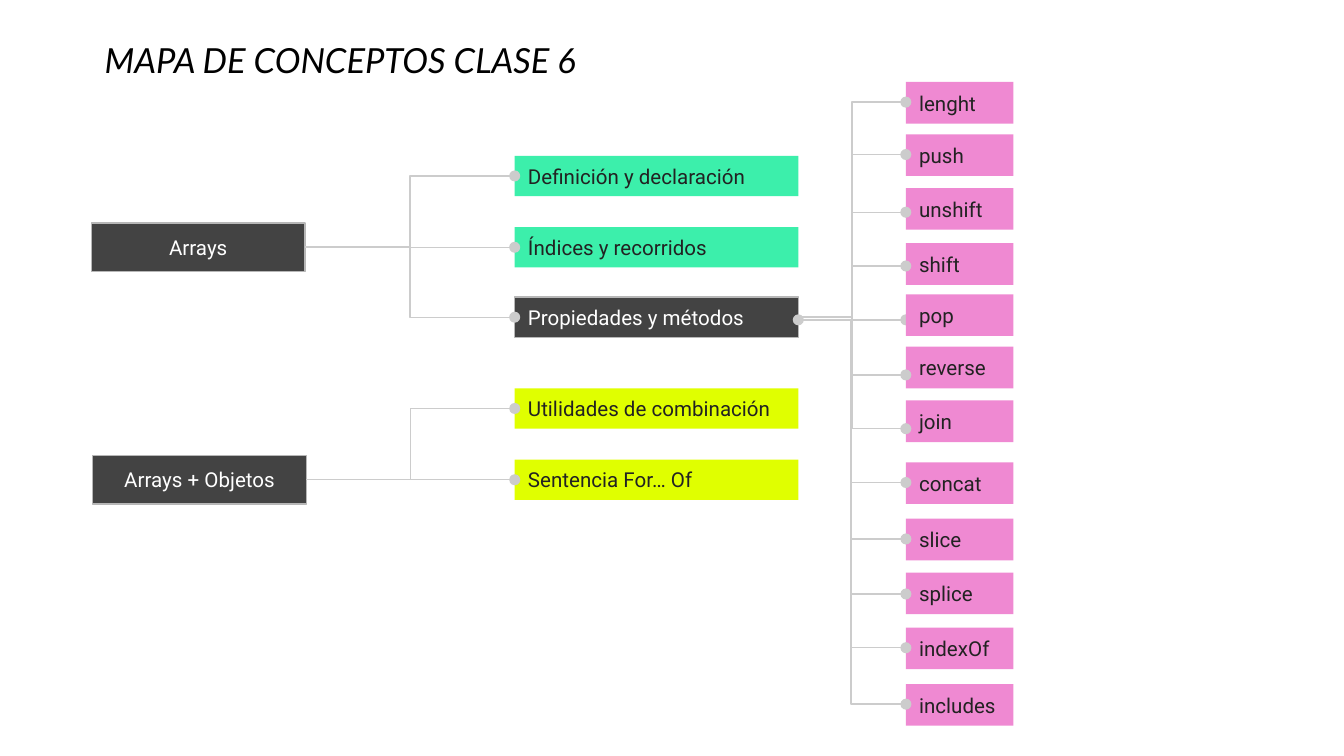
from lxml.etree import SubElement
from pptx import Presentation
from pptx.dml.color import RGBColor
from pptx.enum.shapes import MSO_CONNECTOR as CONNECTOR, MSO_SHAPE as SHAPE
from pptx.enum.text import MSO_ANCHOR as ANCHOR, PP_ALIGN as ALIGN
from pptx.oxml.ns import qn
from pptx.util import Inches, Pt

BLACK = RGBColor(0x00, 0x00, 0x00)
WHITE = RGBColor(0xFF, 0xFF, 0xFF)
INK = RGBColor(0x22, 0x22, 0x22)
DARK = RGBColor(0x43, 0x43, 0x43)
BORDER = RGBColor(0xB7, 0xB7, 0xB7)
LINK = RGBColor(0xCC, 0xCC, 0xCC)
GREEN = RGBColor(0x3C, 0xEF, 0xAB)
YELLOW = RGBColor(0xE0, 0xFF, 0x00)
PINK = RGBColor(0xEF, 0x89, 0xD2)

TITLE = "MAPA DE CONCEPTOS CLASE 6"
# Root: text, left, top, then its topics: text, top, fill
ROOTS = [
    ("Arrays", 0.68, 1.66, [
        ("Definición y declaración", 1.16, GREEN),
        ("Índices y recorridos", 1.69, GREEN),
        ("Propiedades y métodos", 2.21, DARK),
    ]),
    ("Arrays + Objetos", 0.69, 3.39, [
        ("Utilidades de combinación", 2.89, YELLOW),
        ("Sentencia For… Of", 3.42, YELLOW),
    ]),
]
# Method: text, top of its box
METHODS = [
    ("lenght", 0.61), ("push", 1.0), ("unshift", 1.4), ("shift", 1.81),
    ("pop", 2.19), ("reverse", 2.58), ("join", 2.98), ("concat", 3.44),
    ("slice", 3.86), ("splice", 4.26), ("indexOf", 4.67), ("includes", 5.09),
]
# Links leaving the methods topic: start y, end y
ELBOWS = [(2.38, 2.79), (2.38, 3.19), (2.38, 1.98), (2.38, 1.58), (2.36, 1.15)]
# Links leaving the shared trunk: trunk x, start y, end y
BRANCHES = [(6.34, 2.3, 0.76), (6.33, 2.37, 3.59), (6.33, 2.79, 4.01),
            (6.33, 3.19, 4.42), (6.33, 3.59, 4.82), (6.33, 4.01, 5.24)]

ROOT_SIZE = (1.59, 0.36)
TOPIC_LEFT, TOPIC_SIZE = 3.83, (2.11, 0.3)
METHOD_LEFT, METHOD_SIZE = 6.74, (0.8, 0.31)
TOPIC_RIGHT = TOPIC_LEFT + TOPIC_SIZE[0]
HUB_Y = 2.38


def set_text(shape, text, font_name, size, color):
    frame = shape.text_frame
    frame.text = text
    frame.word_wrap = True
    frame.margin_left = frame.margin_right = Inches(0.1)
    frame.margin_top = frame.margin_bottom = Inches(0.1)
    paragraph = frame.paragraphs[0]
    font = paragraph.runs[0].font
    font.name, font.size, font.color.rgb = font_name, Pt(size), color
    return paragraph


def add_box(shapes, text, left, top, size, fill, align=ALIGN.LEFT):
    box = shapes.add_shape(SHAPE.RECTANGLE, Inches(left), Inches(top),
                           Inches(size[0]), Inches(size[1]))
    box.shadow.inherit = False
    box.fill.solid()
    box.fill.fore_color.rgb = fill
    if fill == DARK:
        box.line.color.rgb = BORDER
        box.line.width = Pt(0.75)
    else:
        box.line.fill.background()
    paragraph = set_text(box, text, "Roboto", 11, WHITE if fill == DARK else INK)
    paragraph.alignment = align
    box.text_frame.vertical_anchor = ANCHOR.MIDDLE


def add_link(shapes, start, end, kind=CONNECTOR.ELBOW, ends=("tailEnd",)):
    """Grey connector with a dot at each of the named ends."""
    link = shapes.add_connector(kind, *(Inches(v) for v in (*start, *end)))
    link.line.color.rgb = LINK
    link.line.width = Pt(0.75)
    for name in ends:
        SubElement(link.line._get_or_add_ln(), qn("a:" + name), type="oval")
    SubElement(link._element.spPr, qn("a:effectLst"))
    return link


def add_branch(shapes, x, start_y, end_y):
    """Connector with one corner: along the trunk first, then right to a method."""
    link = add_link(shapes, (x, start_y), (METHOD_LEFT, end_y))
    length, reach = abs(end_y - start_y), METHOD_LEFT - x
    link.left = Inches((x + METHOD_LEFT - length) / 2)
    link.top = Inches((start_y + end_y - reach) / 2)
    link.width, link.height = Inches(length), Inches(reach)
    properties = link._element.spPr
    properties.find(qn("a:prstGeom")).set("prst", "bentConnector2")
    transform = properties.find(qn("a:xfrm"))
    transform.set("rot", str(270 * 60000))
    transform.set("flipH", "1" if end_y > start_y else "0")
    transform.set("flipV", "0")


def main():
    presentation = Presentation()
    presentation.slide_width = Inches(10)
    presentation.slide_height = presentation.slide_width * 9 // 16
    slide = presentation.slides.add_slide(presentation.slide_layouts[6])
    shapes = slide.shapes

    title = shapes.add_textbox(Inches(0.68), Inches(0.25), Inches(7.77), Inches(0.46))
    paragraph = set_text(title, TITLE, "Lato", 18.5, BLACK)
    paragraph.line_spacing = 0.8
    paragraph.runs[0].font.italic = True

    for text, left, top, topics in ROOTS:
        add_box(shapes, text, left, top, ROOT_SIZE, DARK, ALIGN.CENTER)
        start = (left + ROOT_SIZE[0], top + ROOT_SIZE[1] / 2)
        for topic, topic_top, fill in topics:
            add_box(shapes, topic, TOPIC_LEFT, topic_top, TOPIC_SIZE, fill)
            add_link(shapes, start, (TOPIC_LEFT, topic_top + TOPIC_SIZE[1] / 2))

    add_link(shapes, (TOPIC_RIGHT, HUB_Y), (METHOD_LEFT, HUB_Y),
             CONNECTOR.STRAIGHT, ("headEnd", "tailEnd"))
    for text, top in METHODS:
        add_box(shapes, text, METHOD_LEFT, top, METHOD_SIZE, PINK)
    for start_y, end_y in ELBOWS:
        add_link(shapes, (TOPIC_RIGHT, start_y), (METHOD_LEFT, end_y))
    for branch in BRANCHES:
        add_branch(shapes, *branch)

    presentation.save("out.pptx")


if __name__ == "__main__":
    main()
